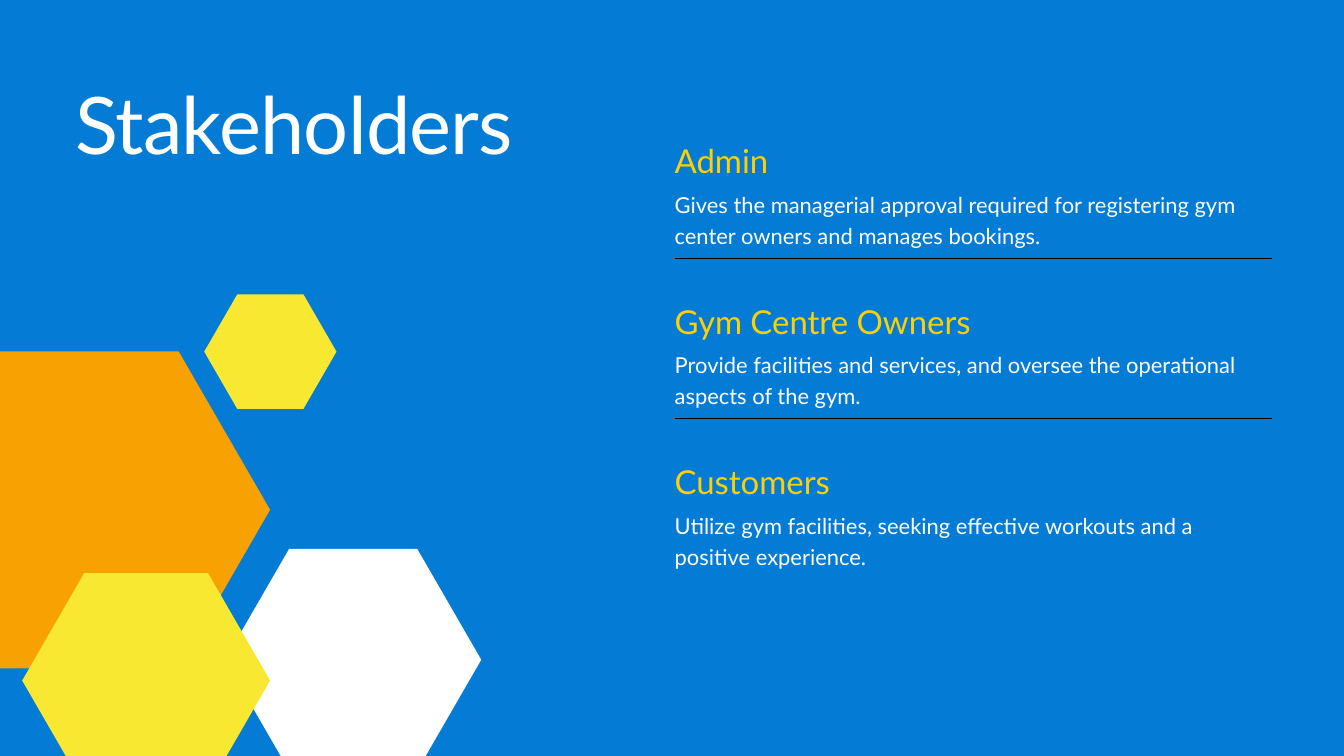
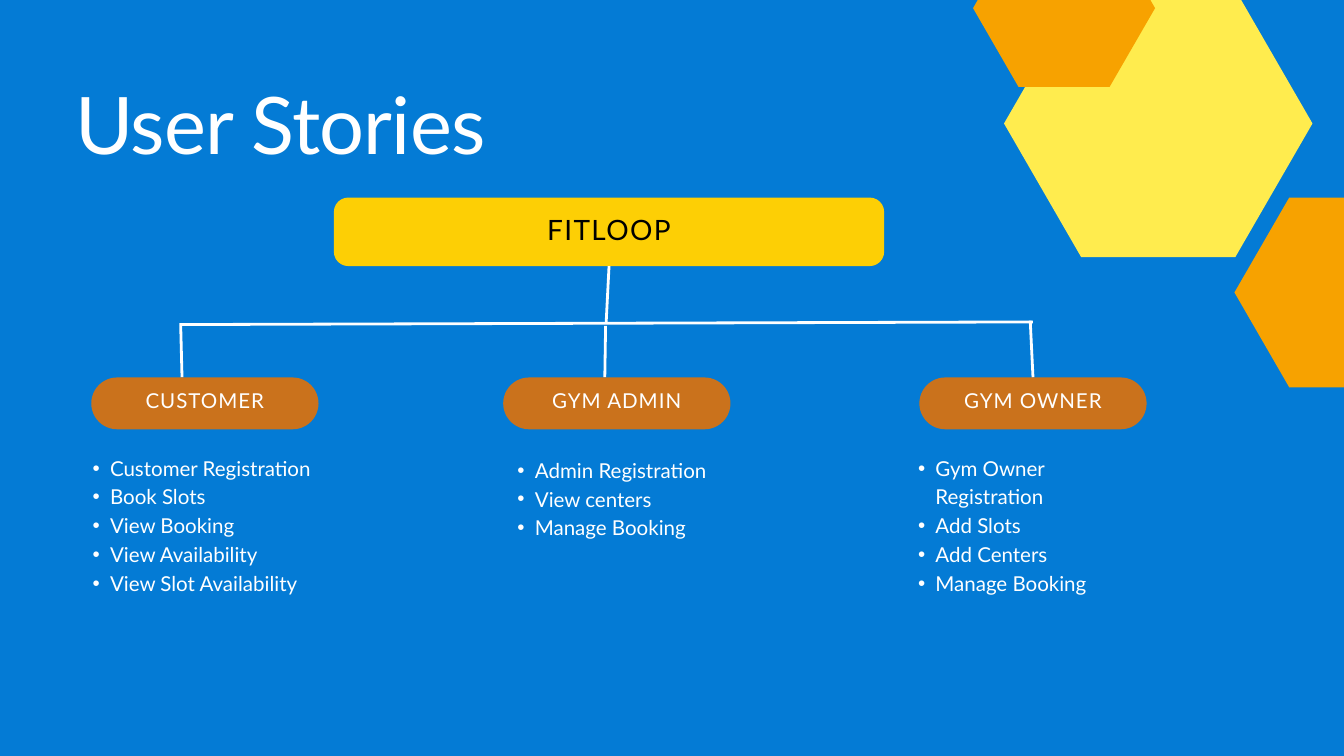
from math import sin, radians

from lxml import etree
from pptx import Presentation
from pptx.dml.color import RGBColor
from pptx.enum.shapes import MSO_CONNECTOR, MSO_SHAPE
from pptx.enum.text import MSO_ANCHOR, PP_ALIGN
from pptx.oxml.ns import qn
from pptx.util import Cm, Pt

HEXAGON = MSO_SHAPE.HEXAGON
ROUNDED = MSO_SHAPE.ROUNDED_RECTANGLE
STRAIGHT = MSO_CONNECTOR.STRAIGHT
CENTER = PP_ALIGN.CENTER
MIDDLE = MSO_ANCHOR.MIDDLE
TOP_SIDE, BOTTOM_SIDE = 0, 2

FONT = "Lato"
BLUE, WHITE, BLACK = "047BD5", "FFFFFF", "000000"
ORANGE, YELLOW, LEMON = "F7A200", "F8E831", "FFEC4E"
GOLD, COPPER = "FDCF05", "CA721C"

STAKEHOLDERS = [
    ("Admin", "Gives the managerial approval required for registering gym "
              "center owners and manages bookings."),
    ("Gym Centre Owners", "Provide facilities and services, and oversee the "
                          "operational aspects of the gym."),
    ("Customers", "Utilize gym facilities, seeking effective workouts and a "
                  "positive experience."),
]
STAKEHOLDER_HEXAGONS = [
    (-3.63, 13.28, 13.84, ORANGE),
    (8.51, 20.75, 9.68, WHITE),
    (7.72, 11.13, 5, YELLOW),
    (0.84, 21.67, 9.37, YELLOW),
]

PRODUCT = "FITLOOP"
ROLES = [
    {"name": "CUSTOMER", "left": 3.45, "list_at": (2.84, 17.07), "list_width": 9.02,
     "drop": ((6.83, 12.32), (6.88, 14.27)), "joined": False,
     "stories": ["Customer Registration", "Book Slots", "View Booking",
                 "View Availability", "View Slot Availability"]},
    {"name": "GYM ADMIN", "left": 19.02, "list_at": (18.9, 17.15), "list_width": 7.92,
     "drop": ((22.89, 12.32), (22.86, 14.27)), "joined": False,
     "stories": ["Admin Registration", "View centers", "Manage Booking"]},
    {"name": "GYM OWNER", "left": 34.75, "list_at": (34.04, 17.07), "list_width": 9.68,
     "drop": ((38.94, 12.12), (39.04, 14.27)), "joined": True,
     "stories": ["Gym Owner Registration", "Add Slots", "Add Centers",
                 "Manage Booking"]},
]
STORY_HEXAGONS = [
    (46.66, 7.47, 8.28, ORANGE),
    (37.95, -0.38, 11.66, LEMON),
    (36.78, -2.67, 6.88, ORANGE),
]
CROSSBAR = ((6.78, 12.27), (39.04, 12.17))
STEM = ((23.02, 10.06), (22.91, 12.22))


def rgb(color):
    return RGBColor.from_string(color)


def write(frame, text, size, color, leading, spacing=0, align=None):
    frame.word_wrap = True
    frame.text = text
    for paragraph in frame.paragraphs:
        paragraph.line_spacing = Pt(leading)
        paragraph.alignment = align
        for run in paragraph.runs:
            run.font.name = FONT
            run.font.size = Pt(size)
            run.font.color.rgb = rgb(color)
            if spacing:
                run._r.get_or_add_rPr().set("spc", str(round(spacing * 100)))


def set_margins(frame, left, top, right, bottom):
    frame.margin_left, frame.margin_top = Cm(left), Cm(top)
    frame.margin_right, frame.margin_bottom = Cm(right), Cm(bottom)


def add_text(slide, box, text, size, color, leading, spacing=0):
    frame = slide.shapes.add_textbox(*map(Cm, box)).text_frame
    set_margins(frame, 0, 0, 0, 0)
    write(frame, text, size, color, leading, spacing)
    return frame


def add_filled(slide, kind, box, color, adjustment):
    shape = slide.shapes.add_shape(kind, *map(Cm, box))
    shape.shadow.inherit = False
    shape.fill.solid()
    shape.fill.fore_color.rgb = rgb(color)
    shape.line.fill.background()
    shape.adjustments[0] = adjustment
    return shape


def add_hexagons(slide, hexagons):
    ratio = sin(radians(60))
    for left, top, width, color in hexagons:
        add_filled(slide, HEXAGON, (left, top, width, width * ratio), color, 0.25 / ratio)


def add_label(slide, box, fill, adjustment, text, size, color, leading, spacing):
    label = add_filled(slide, ROUNDED, box, fill, adjustment)
    frame = label.text_frame
    set_margins(frame, 0.15, 0.15, 0.15, 0.45)
    frame.vertical_anchor = MIDDLE
    write(frame, text, size, color, leading, spacing, CENTER)
    return label


def add_line(slide, start, end, color, width):
    line = slide.shapes.add_connector(STRAIGHT, *map(Cm, start + end))
    line.line.color.rgb = rgb(color)
    line.line.width = Pt(width)
    etree.SubElement(line._element.spPr, qn("a:effectLst"))
    return line


def add_bullets(frame):
    for paragraph in frame.paragraphs:
        paragraph.level = 1
        properties = paragraph._p.get_or_add_pPr()
        properties.set("marL", str(Cm(1.32)))
        properties.set("indent", str(-Cm(0.66)))
        etree.SubElement(properties, qn("a:buFont")).set("typeface", "Arial")
        etree.SubElement(properties, qn("a:buChar")).set("char", "•")


def add_base(deck, title, title_width):
    slide = deck.slides.add_slide(deck.slide_layouts[6])
    slide.background.fill.solid()
    slide.background.fill.fore_color.rgb = rgb(BLUE)
    add_text(slide, (2.84, 2.84, title_width, 3.58), title, 85, WHITE, 102, -0.8)
    return slide


def build_stakeholders(deck):
    slide = add_base(deck, "Stakeholders", 18.14)
    add_hexagons(slide, STAKEHOLDER_HEXAGONS)
    left, width, first_top, pitch = 25.5, 22.56, 5.33, 6.06
    for index, (name, duty) in enumerate(STAKEHOLDERS):
        top = first_top + index * pitch
        add_text(slide, (left, top, width, 1.47), name, 35.3, GOLD, 42.4)
        add_text(slide, (left, top + 1.75, width, 2.21), duty, 23.5, WHITE, 33)
        if index < len(STAKEHOLDERS) - 1:
            rule = top + 4.44
            add_line(slide, (left, rule), (left + width, rule), BLACK, 1)


def build_user_stories(deck):
    slide = add_base(deck, "User Stories", 26.62)
    add_hexagons(slide, STORY_HEXAGONS)
    product = add_label(slide, (12.62, 7.47, 20.8, 2.59), GOLD, 0.21,
                        PRODUCT, 30, BLACK, 39, 1.5)
    add_line(slide, *CROSSBAR, WHITE, 3)
    add_line(slide, *STEM, WHITE, 3).begin_connect(product, BOTTOM_SIDE)
    for role in ROLES:
        drop = add_line(slide, *role["drop"], WHITE, 3)
        pill = add_label(slide, (role["left"], 14.27, 8.59, 1.96), COPPER, 0.5,
                         role["name"], 22, WHITE, 28.6, 1.1)
        if role["joined"]:
            drop.end_connect(pill, TOP_SIDE)
        stories = role["stories"]
        box = (*role["list_at"], role["list_width"], 1.08 * len(stories))
        add_bullets(add_text(slide, box, "\n".join(stories), 22, WHITE, 30.8))


def main():
    deck = Presentation()
    deck.slide_width, deck.slide_height = Cm(50.8), Cm(28.58)
    build_stakeholders(deck)
    build_user_stories(deck)
    deck.save("out.pptx")


if __name__ == "__main__":
    main()
